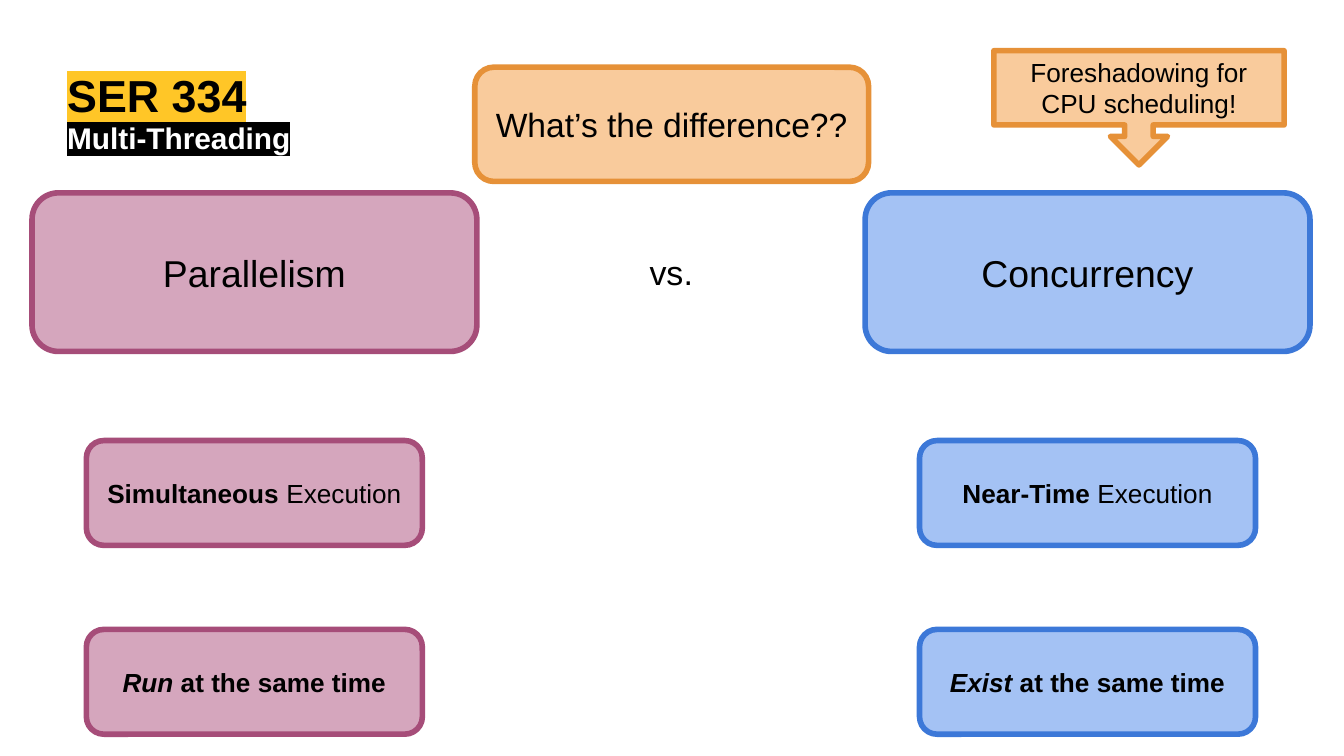
import pptx
import pptx.util
import pptx.dml.color
import pptx.enum.shapes
import pptx.enum.text
import pptx.oxml.ns
import lxml.etree

THEME = {
    "font": "Arial",
    "black": "000000", "white": "FFFFFF", "gold": "FFC627",
    "plum": ("D5A6BD", "A64D79"),
    "blue": ("A4C2F4", "3C78D8"),
    "orange": ("F9CB9C", "E69138"),
    "border": 3,
    "title": 24, "subtitle": 16, "heading": 20,
    "versus": 18.2, "question": 18, "body": 14,
}
ROUNDED = pptx.enum.shapes.MSO_SHAPE.ROUNDED_RECTANGLE
CALLOUT = pptx.enum.shapes.MSO_SHAPE.DOWN_ARROW_CALLOUT

# Widescreen slide, 16 to 9
presentation = pptx.Presentation()
presentation.slide_width = pptx.util.Inches(10)
presentation.slide_height = presentation.slide_width * 9 // 16
slide = presentation.slides.add_slide(presentation.slide_layouts[5])

# Grid of 100 columns by 56.25 rows, in square cells
COLUMN = presentation.slide_width / 100
ROW = presentation.slide_height / 56.25


def write(shape, text, size, color="black", bold=False, highlight=None, centered=True, inset=0.1):
    """Write a string, or a list of (text, bold, italic) runs, into a shape."""
    frame = shape.text_frame
    frame.word_wrap = True
    frame.auto_size = pptx.enum.text.MSO_AUTO_SIZE.NONE
    anchors = pptx.enum.text.MSO_ANCHOR
    frame.vertical_anchor = anchors.MIDDLE if centered else anchors.TOP
    for side in ("left", "top", "right", "bottom"):
        setattr(frame, f"margin_{side}", pptx.util.Inches(inset))
    paragraph = frame.paragraphs[0]
    alignments = pptx.enum.text.PP_ALIGN
    paragraph.alignment = alignments.CENTER if centered else alignments.LEFT
    runs = [(text, bold, False)] if isinstance(text, str) else text
    for words, is_bold, is_italic in runs:
        run = paragraph.add_run()
        run.text = words
        run.font.name = THEME["font"]
        run.font.size = pptx.util.Pt(THEME[size])
        run.font.bold, run.font.italic = is_bold, is_italic
        run.font.color.rgb = pptx.dml.color.RGBColor.from_string(THEME[color])
        if highlight:
            mark = lxml.etree.Element(pptx.oxml.ns.qn("a:highlight"))
            lxml.etree.SubElement(mark, pptx.oxml.ns.qn("a:srgbClr"), val=THEME[highlight])
            run.font._element.find(pptx.oxml.ns.qn("a:solidFill")).addnext(mark)


def add_box(kind, center, middle, width, height, palette, text, size):
    """Add a filled, outlined shape centred on a grid point."""
    shape = slide.shapes.add_shape(
        kind, int((center - width / 2) * COLUMN), int((middle - height / 2) * ROW),
        int(width * COLUMN), int(height * ROW))
    shape.shadow.inherit = False
    fill, border = THEME[palette]
    shape.fill.solid()
    shape.fill.fore_color.rgb = pptx.dml.color.RGBColor.from_string(fill)
    shape.line.color.rgb = pptx.dml.color.RGBColor.from_string(border)
    shape.line.width = pptx.util.Pt(THEME["border"])
    write(shape, text, size)
    return shape


# Title and subtitle
title = slide.shapes.title
title.left, title.top = int(5 * COLUMN), int(5 * ROW)
title.width, title.height = int(48.5 * COLUMN), int(3.9 * ROW)
write(title, "SER 334", "title", bold=True, highlight="gold", centered=False, inset=0)

subtitle = slide.shapes.add_textbox(
    int(5 * COLUMN), int(8.9 * ROW), int(65.1 * COLUMN), int(2.9 * ROW))
write(subtitle, "Multi-Threading", "subtitle", color="white", bold=True,
      highlight="black", centered=False, inset=0)

# Compared concepts: a heading above two traits, one column each
concepts = [
    (18.93, "plum", "Parallelism",
     [("Simultaneous ", True, False), ("Execution", False, False)], "Run"),
    (80.92, "blue", "Concurrency",
     [("Near-Time", True, False), (" Execution", False, False)], "Exist"),
]
for center, palette, heading, execution, verb in concepts:
    add_box(ROUNDED, center, 20.25, 33.1, 11.8, palette, heading, "heading")
    timing = [(verb, True, True), (" at the same time", True, False)]
    for index, trait in enumerate([execution, timing]):
        add_box(ROUNDED, center, 36.68 + 14.05 * index, 25, 7.8, palette, trait, "body")

# Versus label between the headings
versus = slide.shapes.add_textbox(
    int(46.6 * COLUMN), int(17.7 * ROW), int(6.7 * COLUMN), int(5.1 * ROW))
write(versus, "vs.", "versus")

# Question and callout
add_box(ROUNDED, 49.98, 9.25, 29.3, 8.5, "orange", "What’s the difference??", "question")
callout = add_box(CALLOUT, 84.75, 8.02, 21.6, 8.5, "orange",
                  "Foreshadowing for CPU scheduling!", "body")
for index, share in enumerate([0.25, 0.25, 0.25, 0.65]):
    callout.adjustments[index] = share

presentation.save("out.pptx")
